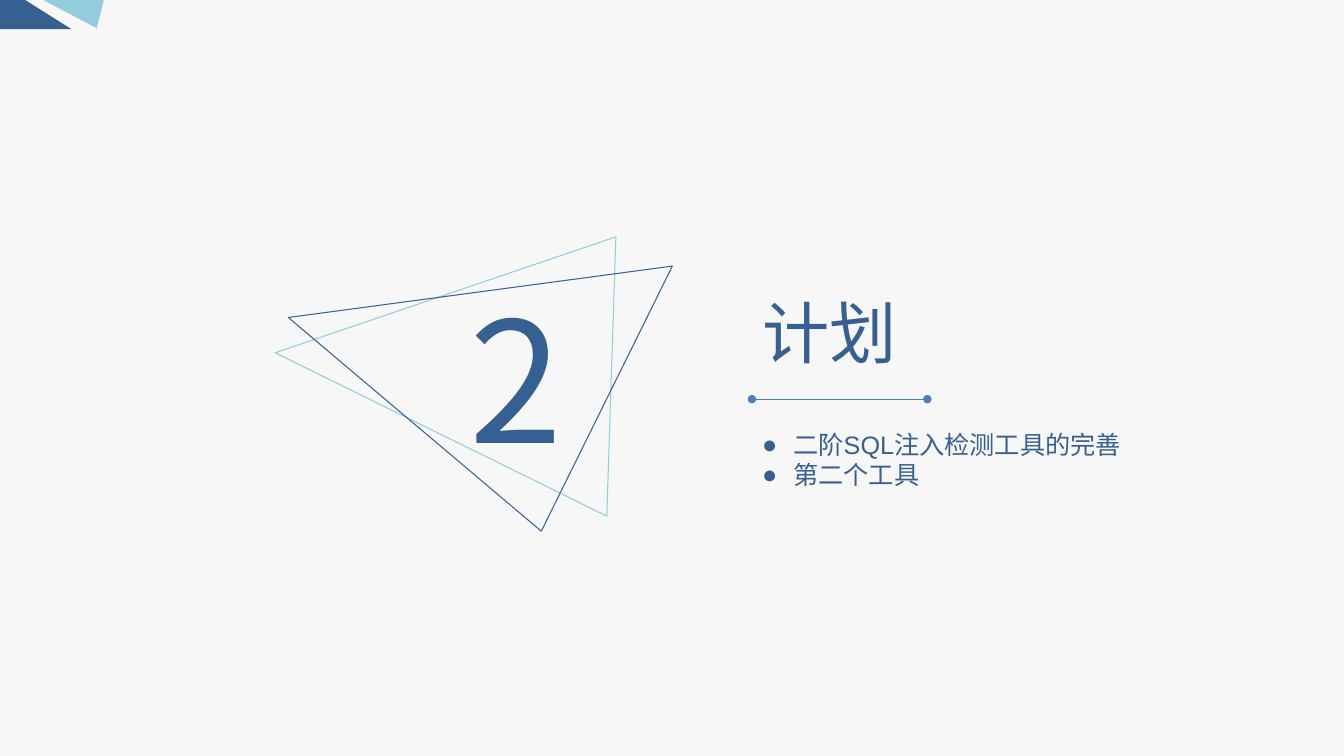
from dataclasses import dataclass
from lxml.etree import SubElement
from pptx import Presentation
from pptx.dml.color import RGBColor
from pptx.enum.shapes import MSO_CONNECTOR
from pptx.enum.text import MSO_ANCHOR, MSO_AUTO_SIZE, PP_ALIGN
from pptx.oxml.ns import qn
from pptx.util import Inches, Pt


@dataclass(frozen=True)
class Theme:
    back: str = "F7F7F7"
    navy: str = "376092"
    sky: str = "93CDDD"
    rule: str = "4B7EBC"
    sans: str = "Arial"
    han: str = "Noto Sans CJK SC"
    title: int = 48
    body: int = 18
    digit: int = 120
    line: float = 0.75


class Deck:
    COLS, ROWS = 160, 90

    def __init__(self, theme):
        self.theme = theme
        self.file = Presentation()
        self.file.slide_width = Inches(13.33)
        self.file.slide_height = Inches(7.5)
        self.slide = self.file.slides.add_slide(self.file.slide_layouts[1])
        self.shapes = self.slide.shapes
        fill = self.slide.background.fill
        fill.solid()
        fill.fore_color.rgb = RGBColor.from_string(theme.back)

    def x(self, cols):
        return round(self.file.slide_width * cols / self.COLS)

    def y(self, rows):
        return round(self.file.slide_height * rows / self.ROWS)

    def point(self, spot):
        return self.x(spot[0]), self.y(spot[1])

    def place(self, shape, left, top, width, height):
        shape.left, shape.top = self.point((left, top))
        shape.width, shape.height = self.point((width, height))

    def letter(self, shape, lines, size, font, wrap=False):
        frame = shape.text_frame
        frame.text = "\n".join(lines)
        frame.word_wrap = wrap
        frame.auto_size = MSO_AUTO_SIZE.NONE
        frame.vertical_anchor = MSO_ANCHOR.TOP
        for para in frame.paragraphs:
            para.alignment = PP_ALIGN.LEFT
            para.space_before = Pt(0)
            para.font.size = Pt(size)
            para.font.name = font
            para.font.color.rgb = RGBColor.from_string(self.theme.navy)
            style = para._p.pPr.find(qn("a:defRPr"))
            SubElement(style, qn("a:ea"), typeface=self.theme.han)
        return frame

    def title(self, text, *box):
        shape = self.shapes.title
        self.place(shape, *box)
        self.letter(shape, [text], self.theme.title, self.theme.han)

    def list(self, lines, indent, *box):
        shape = self.slide.placeholders[1]
        self.place(shape, *box)
        frame = self.letter(shape, lines, self.theme.body, self.theme.sans, True)
        for para in frame.paragraphs:
            props = para._p.pPr
            props.set("marL", str(self.x(indent)))
            props.set("indent", str(-self.x(indent)))
            mark = props.makeelement(qn("a:buChar"), {"char": "●"})
            props.find(qn("a:defRPr")).addprevious(mark)

    def digit(self, text, *box):
        shape = self.shapes.add_textbox(0, 0, 0, 0)
        self.place(shape, *box)
        self.letter(shape, [text], self.theme.digit, self.theme.han)
        return shape

    def outline(self, spots, fill=None, line=None):
        first, *rest = [self.point(spot) for spot in spots]
        pen = self.shapes.build_freeform(*first)
        pen.add_line_segments(rest, close=True)
        shape = pen.convert_to_shape()
        shape.shadow.inherit = False
        if fill:
            shape.fill.solid()
            shape.fill.fore_color.rgb = RGBColor.from_string(fill)
        else:
            shape.fill.background()
        if line:
            shape.line.color.rgb = RGBColor.from_string(line)
            shape.line.width = Pt(self.theme.line)
        else:
            shape.line.fill.background()
        return shape

    def rule(self, start, end):
        link = self.shapes.add_connector(
            MSO_CONNECTOR.STRAIGHT, *self.point(start), *self.point(end))
        link.line.color.rgb = RGBColor.from_string(self.theme.rule)
        link.line.width = Pt(self.theme.line)
        props = link._element.spPr
        for name in ("a:headEnd", "a:tailEnd"):
            SubElement(props.find(qn("a:ln")), qn(name), type="oval")
        SubElement(props, qn("a:effectLst"))

    def group(self, *parts):
        self.shapes.add_group_shape(parts)

    def save(self):
        self.file.save("out.pptx")


def main():
    theme = Theme()
    deck = Deck(theme)
    left = 89.52
    deck.title("计划", left, 34.08, 18.6, 10.92)
    deck.group(
        deck.outline([(73.32, 28.2), (32.76, 42), (72.24, 61.44)],
                     line=theme.sky),
        deck.outline([(34.32, 37.8), (80.04, 31.68), (64.44, 63.24)],
                     line=theme.navy),
        deck.digit("2", 54.72, 32.16, 14.28, 25.44))
    deck.group(
        deck.outline([(5.16, 0), (11.52, 3.36), (12.36, 0)], fill=theme.sky),
        deck.outline([(8.52, 3.48), (3, 0), (0, 0), (0, 3.48)],
                     fill=theme.navy))
    deck.rule((left, 47.52), (110.4, 47.52))
    deck.list(["二阶SQL注入检测工具的完善", "第二个工具"], 3.72,
              left, 50.52, 51.96, 8.52)
    deck.save()


if __name__ == "__main__":
    main()
